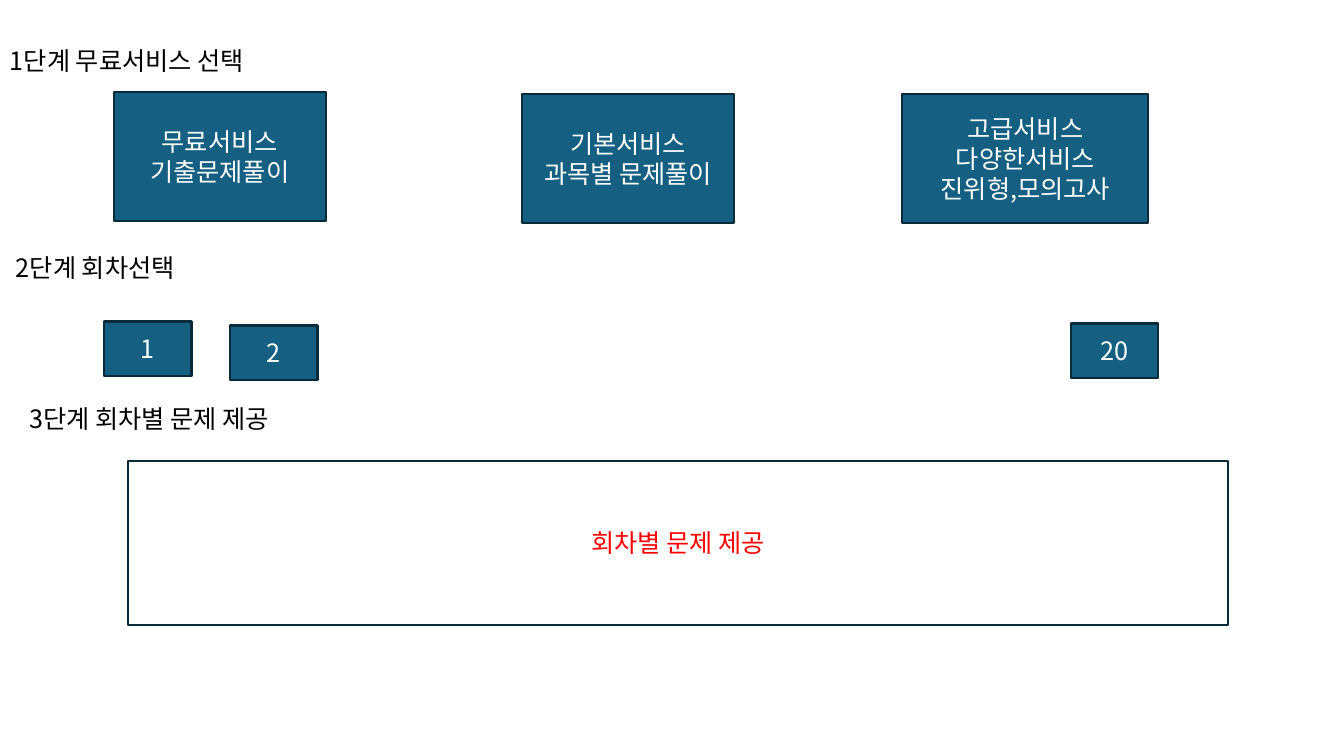
from dataclasses import dataclass

import pptx
import pptx.dml.color
import pptx.enum.shapes
import pptx.enum.text
import pptx.oxml
import pptx.oxml.ns
import pptx.util
from pptx.util import Inches

FONT = "Noto Sans CJK KR"
COLORS = {
    "fill": "156082",
    "line": "092A39",
    "light": "FFFFFF",
    "dark": "000000",
    "alert": "FF0000",
}


@dataclass
class Box:
    text: str
    left: float
    top: float
    width: float
    height: float
    fill: str | None = "fill"
    ink: str = "light"


@dataclass
class Label:
    text: str
    left: float
    top: float
    width: float
    height: float = 0.4


# Service choices, round buttons and the question area
BOXES = [
    Box("무료서비스\n기출문제풀이", 1.13, 0.91, 2.1, 1.28),
    Box("기본서비스\n과목별 문제풀이", 5.18, 0.93, 2.1, 1.28),
    Box("고급서비스\n다양한서비스\n진위형,모의고사", 8.95, 0.93, 2.44, 1.28),
    Box("1", 1.03, 3.19, 0.87, 0.54),
    Box("2", 2.28, 3.23, 0.87, 0.54),
    Box("20", 10.62, 3.21, 0.87, 0.54),
    Box("회차별 문제 제공", 1.27, 4.57, 10.91, 1.63, None, "alert"),
]

# Step headings
LABELS = [
    Label("1단계 무료서비스 선택", 0, 0.4, 2.79),
    Label("2단계 회차선택", 0.06, 2.45, 1.94),
    Label("3단계 회차별 문제 제공", 0.19, 3.95, 2.88),
]


def color(name: str) -> pptx.dml.color.RGBColor:
    return pptx.dml.color.RGBColor.from_string(COLORS[name])


def place(item: Box | Label) -> list[int]:
    return [Inches(n) for n in (item.left, item.top, item.width, item.height)]


def write(frame, text: str, ink: str, align) -> None:
    frame.text = text
    for para in frame.paragraphs:
        para.alignment = align
        for run in para.runs:
            run.font.size = pptx.util.Pt(18)
            run.font.name = FONT
            run.font.color.rgb = color(ink)
            # Korean glyphs take the East Asian typeface
            east = pptx.oxml.parse_xml(
                f'<a:ea {pptx.oxml.ns.nsdecls("a")} typeface="{FONT}"/>'
            )
            run.font._element.append(east)


def draw_box(slide, box: Box) -> None:
    kind = pptx.enum.shapes.MSO_SHAPE.RECTANGLE
    shape = slide.shapes.add_shape(kind, *place(box))
    shape.shadow.inherit = False
    if box.fill:
        shape.fill.solid()
        shape.fill.fore_color.rgb = color(box.fill)
    else:
        shape.fill.background()
    shape.line.color.rgb = color("line")
    shape.line.width = pptx.util.Pt(1.5)
    frame = shape.text_frame
    frame.word_wrap = True
    frame.vertical_anchor = pptx.enum.text.MSO_ANCHOR.MIDDLE
    write(frame, box.text, box.ink, pptx.enum.text.PP_ALIGN.CENTER)


def draw_label(slide, label: Label) -> None:
    frame = slide.shapes.add_textbox(*place(label)).text_frame
    frame.word_wrap = False
    frame.auto_size = pptx.enum.text.MSO_AUTO_SIZE.SHAPE_TO_FIT_TEXT
    write(frame, label.text, "dark", pptx.enum.text.PP_ALIGN.LEFT)


def main() -> None:
    deck = pptx.Presentation()
    deck.slide_width = Inches(13.33)
    deck.slide_height = Inches(7.5)
    slide = deck.slides.add_slide(deck.slide_layouts[6])
    for box in BOXES:
        draw_box(slide, box)
    for label in LABELS:
        draw_label(slide, label)
    deck.save("out.pptx")


if __name__ == "__main__":
    main()
